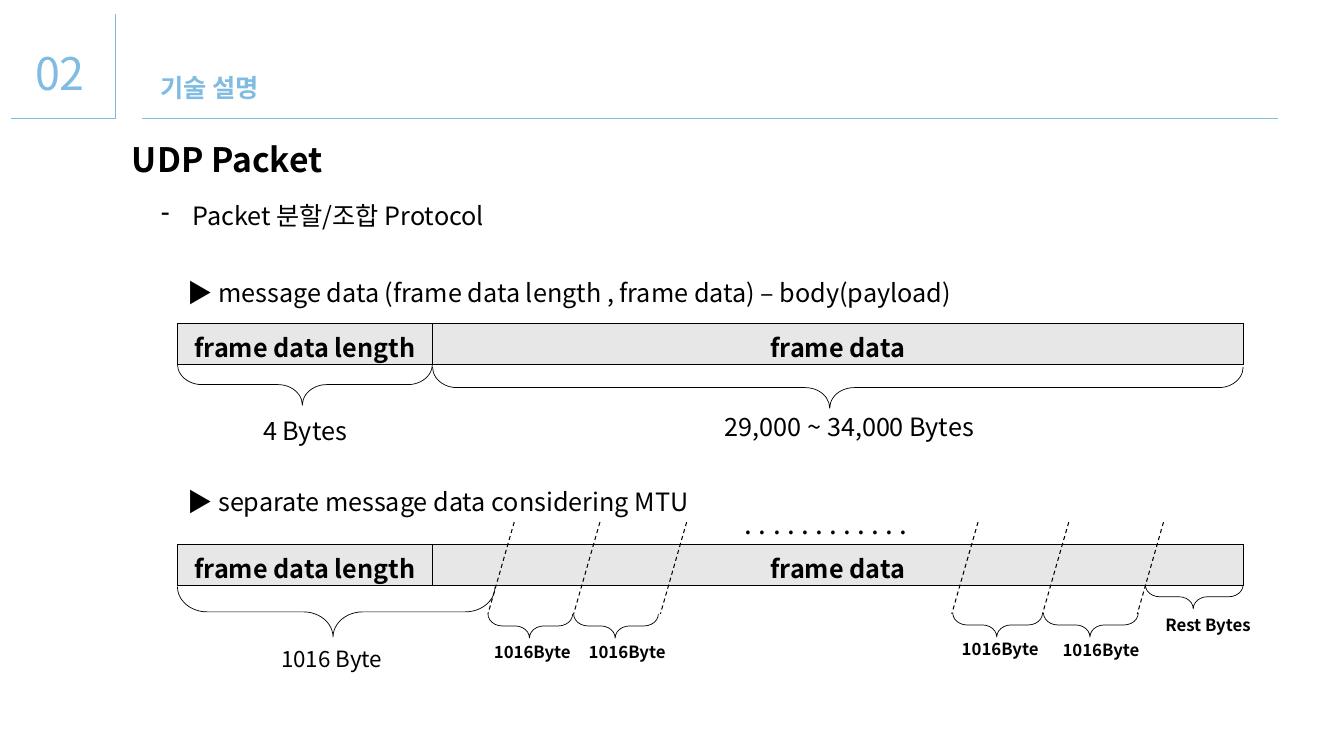
from lxml import etree
from pptx import Presentation
from pptx.dml.color import RGBColor
from pptx.enum.dml import MSO_LINE
from pptx.enum.shapes import MSO_CONNECTOR, MSO_SHAPE
from pptx.enum.text import MSO_AUTO_SIZE, PP_ALIGN
from pptx.oxml.ns import qn
from pptx.util import Inches, Pt

BLUE = RGBColor(0x80, 0xBC, 0xE1)
BLACK = RGBColor(0, 0, 0)
GRAY = RGBColor(0xE7, 0xE7, 0xE7)
FONT = "Noto Sans CJK KR"
LEFT = PP_ALIGN.LEFT
CENTER = PP_ALIGN.CENTER
FIT = MSO_AUTO_SIZE.SHAPE_TO_FIT_TEXT
STRAIGHT = MSO_CONNECTOR.STRAIGHT
LEFT_BRACE = MSO_SHAPE.LEFT_BRACE
DASH = MSO_LINE.DASH


class PacketSlide:
    def __init__(self, slide):
        self.shapes = slide.shapes

    def style(self, para, size, color=BLACK, bold=False, align=LEFT):
        para.alignment = align
        for span in para.runs:
            span.font.size = Pt(size)
            span.font.name = FONT
            span.font.bold = bold
            span.font.color.rgb = color
            east_asian = etree.SubElement(span.font._element, qn("a:ea"))
            east_asian.set("typeface", FONT)

    def text(self, words, left, top, width, height, size=18, wrap=True,
             spacing=None, **look):
        box = self.shapes.add_textbox(
            Inches(left), Inches(top), Inches(width), Inches(height))
        frame = box.text_frame
        frame.text = words
        frame.word_wrap = wrap
        frame.auto_size = FIT
        para = frame.paragraphs[0]
        if spacing:
            para.line_spacing = spacing
        self.style(para, size, **look)
        return para

    def bullet(self, words, left, top, width, height):
        para = self.text(words, left, top, width, height)
        properties = para._p.get_or_add_pPr()
        properties.set("marL", str(Inches(0.31)))
        properties.set("indent", str(Inches(-0.31)))
        etree.SubElement(properties, qn("a:buChar")).set("char", "-")

    def line(self, start, end, color=BLACK, weight=0.5, dash=None):
        connector = self.shapes.add_connector(
            STRAIGHT, *(Inches(value) for value in (*start, *end)))
        connector.line.color.rgb = color
        connector.line.width = Pt(weight)
        if dash:
            connector.line.dash_style = dash
        etree.SubElement(connector._element.spPr, qn("a:effectLst"))

    def brace_below(self, left, top, span, depth):
        brace = self.shapes.add_shape(
            LEFT_BRACE, Inches(left + (span - depth) / 2),
            Inches(top + (depth - span) / 2), Inches(depth), Inches(span))
        brace.rotation = 270
        brace.adjustments[0] = 0.59
        brace.adjustments[1] = 0.49
        brace.shadow.inherit = False
        brace.fill.background()
        brace.line.color.rgb = BLACK
        brace.line.width = Pt(0.5)

    def border(self, cell):
        properties = cell._tc.get_or_add_tcPr()
        for position, side in enumerate(("lnL", "lnR", "lnT", "lnB")):
            edge = etree.Element(qn(f"a:{side}"), w=str(Pt(1)))
            fill = etree.SubElement(edge, qn("a:solidFill"))
            etree.SubElement(fill, qn("a:srgbClr")).set("val", str(BLACK))
            properties.insert(position, edge)

    def message_table(self, top):
        widths = (2.53, 8.04)
        table = self.shapes.add_table(
            1, 2, Inches(1.76), Inches(top), Inches(sum(widths)),
            Inches(0.41)).table
        for index, field in enumerate(("frame data length", "frame data")):
            table.columns[index].width = Inches(widths[index])
            cell = table.cell(0, index)
            cell.text_frame.text = field
            self.style(cell.text_frame.paragraphs[0], 18, bold=True,
                       align=CENTER)
            cell.fill.solid()
            cell.fill.fore_color.rgb = GRAY
            self.border(cell)


deck = Presentation()
deck.slide_width = Inches(13.33)
deck.slide_height = Inches(7.5)
page = PacketSlide(deck.slides.add_slide(deck.slide_layouts[6]))

page.line((0.11, 1.17), (1.15, 1.17), BLUE)
page.line((1.14, 0.14), (1.14, 1.18), BLUE)
page.line((1.41, 1.17), (12.68, 1.17), BLUE)
page.text("02", 0.25, 0.14, 0.7, 0.8, 32, wrap=False, spacing=1.5, color=BLUE)
page.text("기술 설명", 1.21, 0.52, 1.74, 0.5, spacing=1.5, color=BLUE,
          bold=True, align=CENTER)
page.text("UDP Packet", 1.21, 1.33, 3.19, 0.5, 24, bold=True)
page.bullet("Packet 분할/조합 Protocol", 1.5, 1.94, 8.19, 0.4)

page.text("▶ message data (frame data length , frame data) – body(payload)",
          1.76, 2.7, 7.87, 0.4, wrap=False)
page.message_table(3.21)
page.text("4 Bytes", 2.29, 4.07, 1.47, 0.4, align=CENTER)
page.text("29,000 ~ 34,000 Bytes", 6.95, 4.03, 2.95, 0.4, align=CENTER)

page.text("▶ separate message data considering MTU", 1.76, 4.78, 5.32, 0.4,
          wrap=False)
page.message_table(5.4)
for cut in (4.84, 5.69, 6.55, 9.44, 10.34, 11.28):
    page.line((cut + 0.26, 5.18), (cut, 6.09), weight=0.75, dash=DASH)

for left, top, span, depth in (
        (1.76, 3.61, 2.53, 0.41), (4.29, 3.64, 8.04, 0.41),
        (1.76, 5.82, 3.15, 0.5), (4.84, 6.09, 0.84, 0.24),
        (5.69, 6.09, 0.84, 0.24), (9.45, 6.08, 0.89, 0.24),
        (10.35, 6.08, 0.94, 0.24), (11.36, 5.8, 0.97, 0.24)):
    page.brace_below(left, top, span, depth)

page.text(". . . . . . . . . . . .", 7.29, 4.98, 2.37, 0.44, 20)
page.text("1016 Byte", 2.69, 6.35, 1.28, 0.37, 16)
for left, top in ((4.8, 6.32), (5.74, 6.32), (9.44, 6.29), (10.44, 6.3)):
    page.text("1016Byte", left, top, 1.28, 0.3, 12, bold=True)
page.text("Rest Bytes", 11.46, 6.05, 1.8, 0.3, 12, bold=True)

deck.save("out.pptx")
